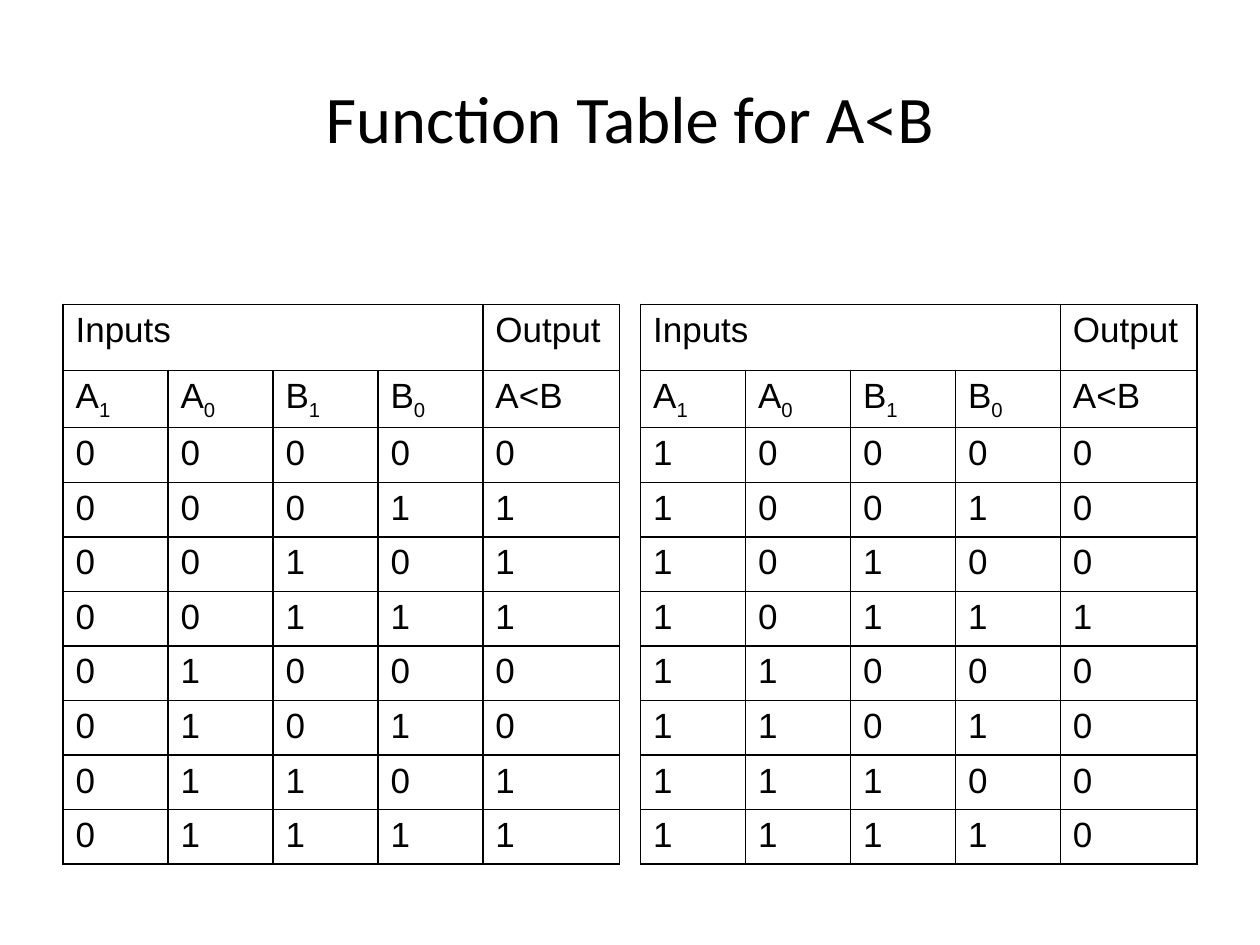
from itertools import product

from lxml.etree import SubElement
from pptx import Presentation
from pptx.dml.color import RGBColor
from pptx.enum.text import MSO_ANCHOR, PP_ALIGN
from pptx.oxml import parse_xml
from pptx.oxml.ns import nsdecls
from pptx.util import Pt

COLORS = {"text": "000000", "border": "000000"}
COLUMN_WIDTHS = [60, 60, 60, 60, 78]
ROW_HEIGHTS = [37.7] + [31.2] * 9
INPUT_NAMES = ["A_1", "A_0", "B_1", "B_0"]


def write_text(paragraph, text, size, font, color=COLORS["text"],
               align=PP_ALIGN.JUSTIFY, hanging=0):
    """Fill a paragraph; an underscore separates a base from its subscript."""
    paragraph.alignment = align
    if hanging:
        properties = paragraph._p.get_or_add_pPr()
        properties.set("marL", str(Pt(hanging)))
        properties.set("indent", str(-Pt(hanging)))
    for index, part in enumerate(text.split("_")):
        run = paragraph.add_run()
        run.text = part
        run.font.size = Pt(size)
        run.font.name = font
        run.font.color.rgb = RGBColor.from_string(color)
        if index:
            run._r.get_or_add_rPr().set("baseline", "-25000")


def set_borders(cell, color, width):
    properties = cell._tc.get_or_add_tcPr()
    for index, side in enumerate("LRTB"):
        line = parse_xml(f'<a:ln{side} {nsdecls("a")} w="{Pt(width)}"/>')
        namespace = "{%s}" % line.nsmap["a"]
        fill = SubElement(line, namespace + "solidFill")
        SubElement(fill, namespace + "srgbClr", val=color)
        properties.insert(index, line)


def truth_rows(high_bit):
    """Give the rows of A < B for two-bit numbers with A1 fixed."""
    rows = []
    for a0, b1, b0 in product((0, 1), repeat=3):
        output = int(2 * high_bit + a0 < 2 * b1 + b0)
        rows.append([str(bit) for bit in (high_bit, a0, b1, b0, output)])
    return rows


class SlideBuilder:
    title_font, title_size = "Calibri", 38
    table_font, table_size = "Arial", 20

    def __init__(self, slide):
        self.slide = slide

    def title(self, text, left, top, width, height):
        shape = self.slide.shapes.title
        shape.left, shape.top = Pt(left), Pt(top)
        shape.width, shape.height = Pt(width), Pt(height)
        shape.text_frame.vertical_anchor = MSO_ANCHOR.MIDDLE
        write_text(shape.text_frame.paragraphs[0], text, self.title_size,
                   self.title_font, align=PP_ALIGN.CENTER)

    def function_table(self, rows, left, top, hanging=0):
        shape = self.slide.shapes.add_table(
            len(ROW_HEIGHTS), len(COLUMN_WIDTHS), Pt(left), Pt(top),
            Pt(sum(COLUMN_WIDTHS)), Pt(sum(ROW_HEIGHTS)))
        table = shape.table
        table.first_row = table.horz_banding = False
        for column, width in zip(table.columns, COLUMN_WIDTHS):
            column.width = Pt(width)
        for row, height in zip(table.rows, ROW_HEIGHTS):
            row.height = Pt(height)
        table.cell(0, 0).merge(table.cell(0, len(INPUT_NAMES) - 1))
        headings = [["Inputs", "", "", "", "Output"], INPUT_NAMES + ["A<B"]]
        for row, texts in zip(table.rows, headings + rows):
            for cell, text in zip(row.cells, texts):
                cell.fill.background()
                set_borders(cell, COLORS["border"], 1)
                if text:
                    write_text(cell.text_frame.paragraphs[0], text,
                               self.table_size, self.table_font,
                               hanging=hanging)


def main():
    presentation = Presentation()
    presentation.slide_width, presentation.slide_height = Pt(720), Pt(540)
    slide = presentation.slides.add_slide(presentation.slide_layouts[5])
    builder = SlideBuilder(slide)
    builder.title("Function Table for A<B", 36, 21.6, 648, 90)
    builder.function_table(truth_rows(0), 36, 174, hanging=27)
    builder.function_table(truth_rows(1), 366, 174)
    presentation.save("out.pptx")


if __name__ == "__main__":
    main()
